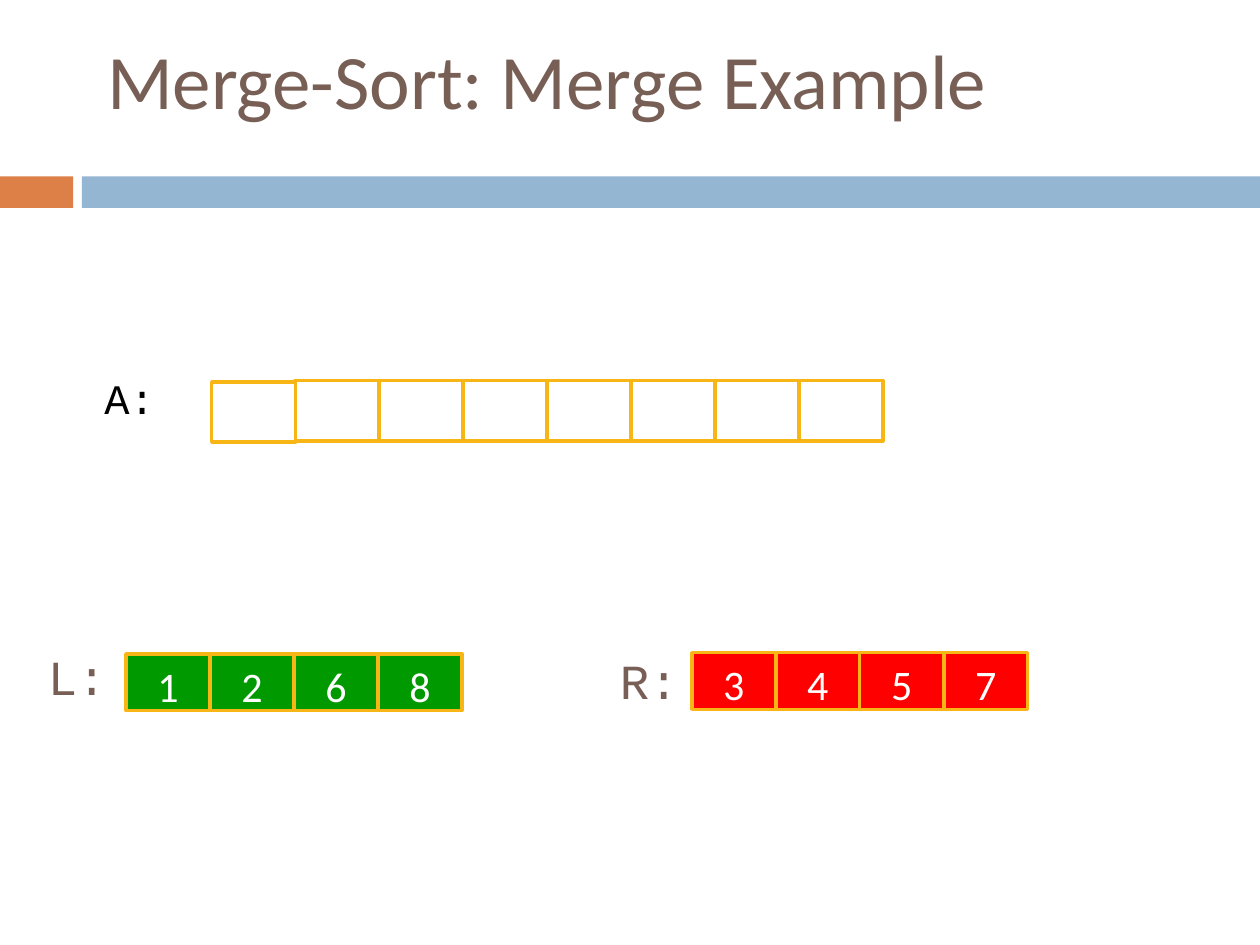
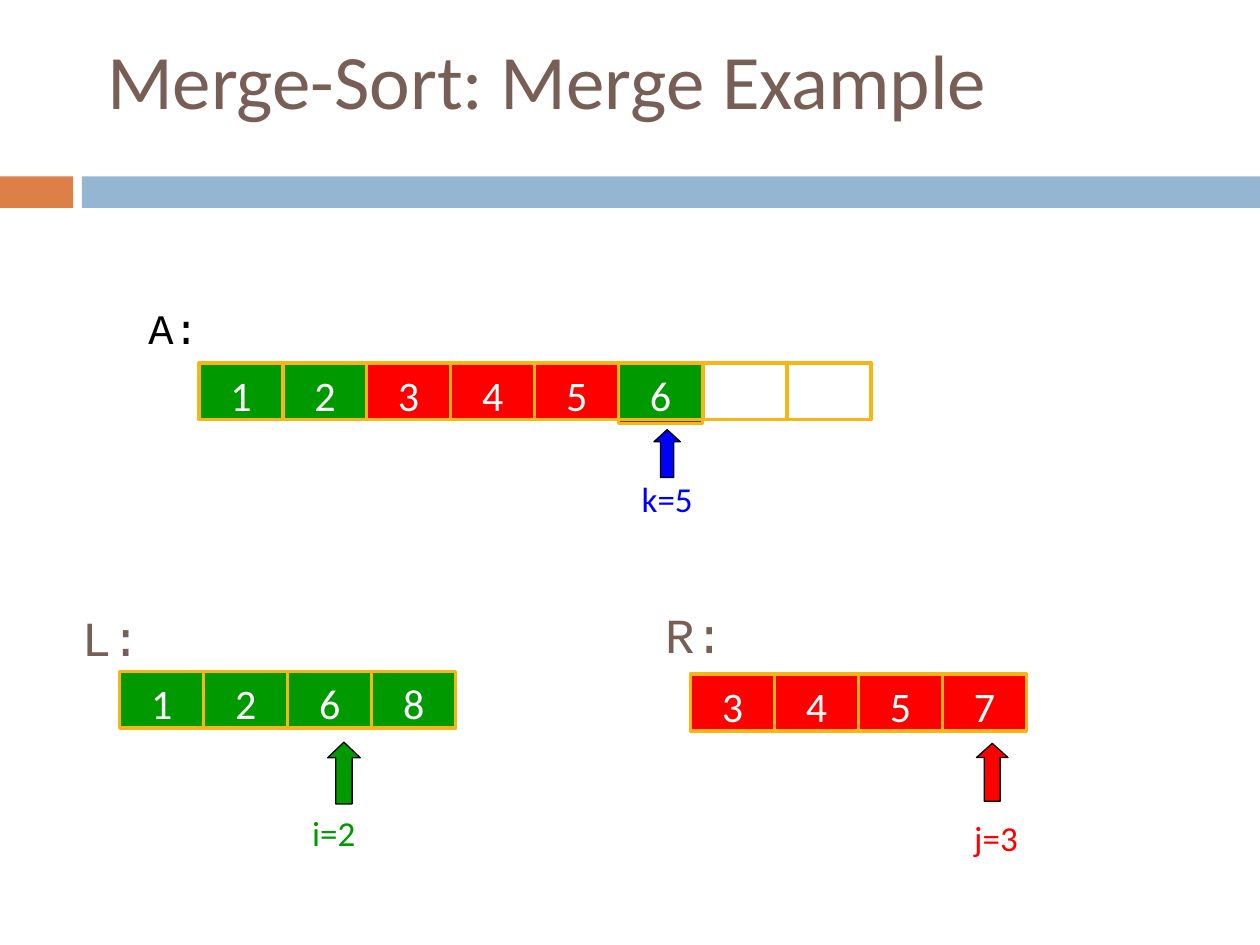
from dataclasses import dataclass

from pptx import Presentation
from pptx.dml.color import RGBColor
from pptx.enum.shapes import MSO_SHAPE as Kind
from pptx.enum.text import MSO_ANCHOR as Anchor, PP_ALIGN as Align
from pptx.util import Inches, Pt

BROWN = RGBColor(0x77, 0x5F, 0x55)
ORANGE = RGBColor(0xDD, 0x80, 0x47)
SKY = RGBColor(0x94, 0xB6, 0xD2)
GOLD = RGBColor(0xF7, 0xB6, 0x15)
GREEN = RGBColor(0x00, 0x99, 0x00)
RED = RGBColor(0xFF, 0x00, 0x00)
BLUE = RGBColor(0x00, 0x00, 0xFF)
GRAY = RGBColor(0x4D, 0x4D, 0x4D)
BLACK = RGBColor(0x00, 0x00, 0x00)
WHITE = RGBColor(0xFF, 0xFF, 0xFF)

SANS = "Calibri"
MONO = "Courier New"
TITLE = "Merge-Sort: Merge Example"
STEP = 2 / 3  # pitch of the array cells


@dataclass(frozen=True)
class Row:
    """Cells side by side; an empty string is a cell without a value."""
    left: float
    top: float
    cells: tuple[str, ...]
    fill: RGBColor
    high: float = 0.45


@dataclass(frozen=True)
class Label:
    text: str
    left: float
    top: float
    width: float
    high: float
    size: int
    color: RGBColor
    font: str = MONO
    inset: float = 0
    align: Align = Align.LEFT


@dataclass(frozen=True)
class Arrow:
    left: float
    top: float
    width: float
    high: float
    head: float
    fill: RGBColor


def name_tag(text: str, left: float, top: float) -> Label:
    """Name of one of the two halves."""
    return Label(text, left, top, 0.47, 0.57, 28, BROWN)


def goal_tag(left: float, top: float) -> Label:
    """Name of the merged array."""
    return Label("A:", left, top, 0.69, 0.5, 24, BLACK, inset=0.1)


def index_tag(text: str, left: float, top: float, width: float,
              color: RGBColor) -> Label:
    return Label(text, left, top, width, 0.44, 20, color, SANS,
                 align=Align.CENTER)


LOW = ("1", "2", "6", "8")
HIGH = ("3", "4", "5", "7")

START = (
    name_tag("L:", 0.38, 5.08),
    name_tag("R:", 4.92, 5.11),
    Row(2.34, 3.02, ("",) * 7, WHITE, 0.48),
    Row(1.68, 3.03, ("",), WHITE, 0.48),
    Row(1, 5.19, LOW, GREEN),
    Row(5.49, 5.18, HIGH, RED),
    goal_tag(0.73, 2.91),
)

MERGE = (
    Row(1.58, 2.88, ("1", "2"), GREEN),
    Row(2.91, 2.88, ("3", "4", "5"), RED),
    Row(5.58, 2.88, ("", ""), WHITE),
    name_tag("L:", 0.65, 4.77),
    goal_tag(1.08, 2.35),
    name_tag("R:", 5.28, 4.75),
    index_tag("i=2", 2.41, 6.39, 0.48, GREEN),
    index_tag("j=3", 7.53, 6.43, 0.75, RED),
    index_tag("k=5", 4.89, 3.74, 0.81, BLUE),
    Row(0.95, 5.33, LOW, GREEN),
    Row(5.48, 5.35, HIGH, RED),
    Row(4.91, 2.88, ("",), GRAY, 0.48),
    Row(4.91, 2.88, ("6",), GREEN),
    Arrow(2.6, 5.89, 0.26, 0.49, 0.48, GREEN),
    Arrow(7.75, 5.9, 0.25, 0.46, 0.45, RED),
    Arrow(5.19, 3.41, 0.21, 0.38, 0.46, BLUE),
)


def add_box(slide, kind: Kind, left: float, top: float, width: float,
            high: float, fill: RGBColor, line: RGBColor | None = None,
            weight: float = 2):
    box = slide.shapes.add_shape(kind, Inches(left), Inches(top),
                                 Inches(width), Inches(high))
    box.shadow.inherit = False
    box.fill.solid()
    box.fill.fore_color.rgb = fill
    if line is None:
        box.line.fill.background()
    else:
        box.line.color.rgb = line
        box.line.width = Pt(weight)
    return box


def set_text(shape, text: str, size: int, color: RGBColor, font: str,
             align: Align, anchor: Anchor = Anchor.TOP) -> None:
    frame = shape.text_frame
    frame.text = text
    frame.vertical_anchor = anchor
    para = frame.paragraphs[0]
    para.alignment = align
    face = para.runs[0].font
    face.name = font
    face.size = Pt(size)
    face.color.rgb = color


def draw_row(slide, row: Row) -> None:
    for i, value in enumerate(row.cells):
        cell = add_box(slide, Kind.RECTANGLE, row.left + i * STEP, row.top,
                       STEP, row.high, row.fill, GOLD)
        if value:
            set_text(cell, value, 24, WHITE, SANS, Align.CENTER)
            cell.text_frame.margin_bottom = 0


def draw_label(slide, label: Label) -> None:
    box = slide.shapes.add_textbox(Inches(label.left), Inches(label.top),
                                   Inches(label.width), Inches(label.high))
    set_text(box, label.text, label.size, label.color, label.font, label.align)
    frame = box.text_frame
    frame.word_wrap = False
    frame.margin_left = frame.margin_right = Inches(label.inset)


def draw_arrow(slide, arrow: Arrow) -> None:
    shape = add_box(slide, Kind.UP_ARROW, arrow.left, arrow.top, arrow.width,
                    arrow.high, arrow.fill, BLACK, 0.75)
    shape.adjustments[1] = arrow.head


DRAW = {Row: draw_row, Label: draw_label, Arrow: draw_arrow}


def add_bands(slide) -> None:
    """Put the two bands on the slide's layout, so that all slides show them."""
    for left, width, fill in ((0, 0.58, ORANGE), (0.65, 9.35, SKY)):
        band = add_box(slide, Kind.RECTANGLE, left, 1.4, width, 0.25, fill)
        slide.slide_layout.shapes.element.append(band.element)


def add_slide(deck, parts: tuple):
    slide = deck.slides.add_slide(deck.slide_layouts[5])
    title = slide.shapes.title
    title.left, title.top = Inches(0.75), Inches(0)
    title.width, title.height = Inches(8.5), Inches(1.25)
    set_text(title, TITLE, 44, BROWN, SANS, Align.LEFT, Anchor.MIDDLE)
    for part in parts:
        DRAW[type(part)](slide, part)
    return slide


def main() -> None:
    deck = Presentation()
    deck.slide_width, deck.slide_height = Inches(10), Inches(7.5)
    first = add_slide(deck, START)
    add_bands(first)
    add_slide(deck, MERGE)
    deck.save("out.pptx")


if __name__ == "__main__":
    main()
